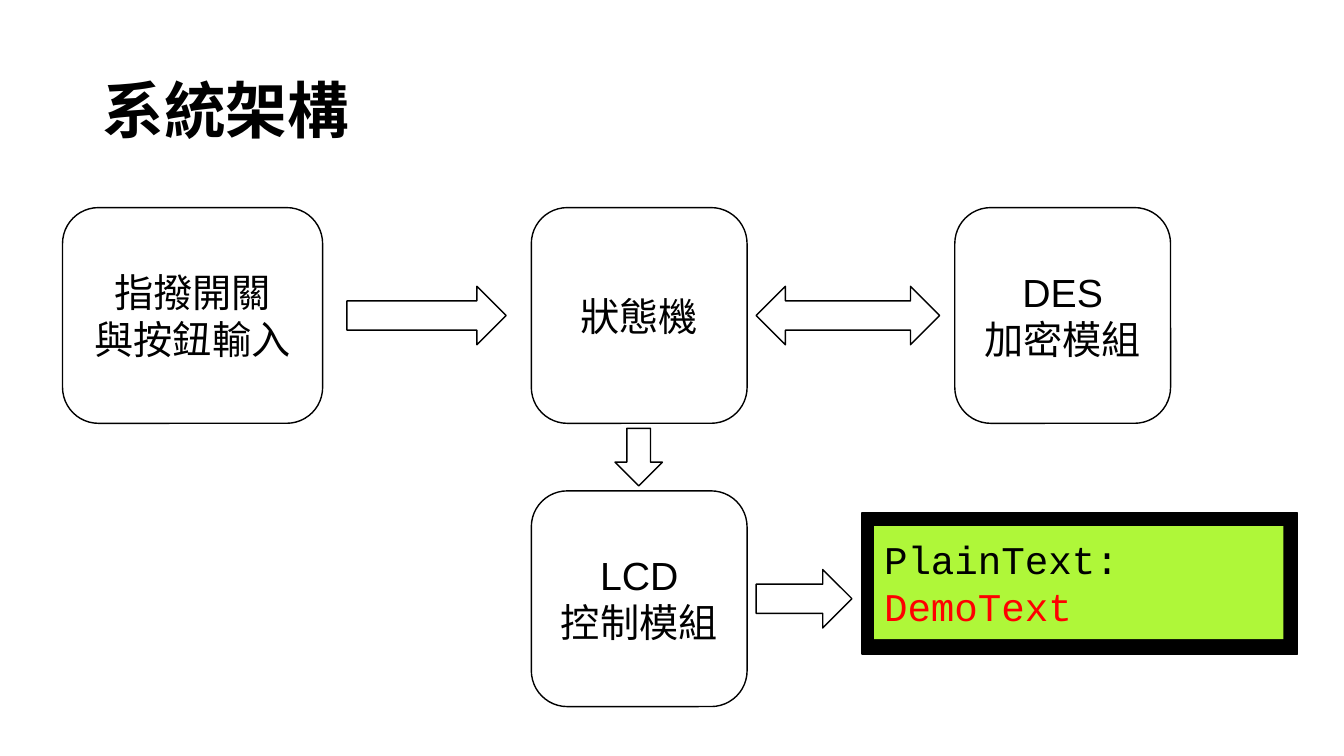
from dataclasses import dataclass

from pptx import Presentation
from pptx.dml.color import RGBColor
from pptx.enum.shapes import MSO_SHAPE
from pptx.enum.text import MSO_ANCHOR, PP_ALIGN
from pptx.shapes.autoshape import Shape
from pptx.slide import Slide
from pptx.util import Inches, Pt

ROUNDED = MSO_SHAPE.ROUNDED_RECTANGLE
RECTANGLE = MSO_SHAPE.RECTANGLE
RIGHT_ARROW = MSO_SHAPE.RIGHT_ARROW
DOWN_ARROW = MSO_SHAPE.DOWN_ARROW
DOUBLE_ARROW = MSO_SHAPE.LEFT_RIGHT_ARROW
MIDDLE = MSO_ANCHOR.MIDDLE
LEFT = PP_ALIGN.LEFT
CENTER = PP_ALIGN.CENTER

COLORS = {
    "black": "000000",
    "white": "FFFFFF",
    "display": "AFF739",
    "red": "FF0000",
}
BODY_FONT = "Arial"
DISPLAY_FONT = "Courier New"

MODULE_SIZE = 2.14
TOP_ROW = 2.06
BOTTOM_ROW = 4.87
CENTER_COLUMN = 5.27
ARROW_THICKNESS = 0.58
TOP_ARROW = TOP_ROW + (MODULE_SIZE - ARROW_THICKNESS) / 2
BOTTOM_ARROW = BOTTOM_ROW + (MODULE_SIZE - ARROW_THICKNESS) / 2


@dataclass(frozen=True)
class Module:
    lines: tuple[str, ...]
    left: float
    top: float
    width: float = MODULE_SIZE


@dataclass(frozen=True)
class Arrow:
    kind: MSO_SHAPE
    left: float
    top: float
    width: float
    height: float = ARROW_THICKNESS


MODULES = (
    Module(("指撥開關", "與按鈕輸入"), 0.62, TOP_ROW, 2.58),
    Module(("狀態機",), CENTER_COLUMN, TOP_ROW),
    Module(("DES", "加密模組"), 9.47, TOP_ROW),
    Module(("LCD", "控制模組"), CENTER_COLUMN, BOTTOM_ROW),
)
ARROWS = (
    Arrow(RIGHT_ARROW, 3.44, TOP_ARROW, 1.58),
    Arrow(DOUBLE_ARROW, 7.5, TOP_ARROW, 1.82),
    Arrow(DOWN_ARROW, 6.1, 4.25, 0.47, 0.57),
    Arrow(RIGHT_ARROW, 7.5, BOTTOM_ARROW, 0.95),
)


def color(name: str) -> RGBColor:
    return RGBColor.from_string(COLORS[name])


def add_box(slide: Slide, kind: MSO_SHAPE, left: float, top: float, width: float,
            height: float, fill: str = "white", outlined: bool = True) -> Shape:
    shape = slide.shapes.add_shape(
        kind, Inches(left), Inches(top), Inches(width), Inches(height))
    shape.shadow.inherit = False
    shape.fill.solid()
    shape.fill.fore_color.rgb = color(fill)
    if outlined:
        shape.line.color.rgb = color("black")
        shape.line.width = Pt(1)
    else:
        shape.line.fill.background()
    return shape


def write_lines(shape: Shape, lines: tuple[tuple[str, str], ...], alignment: PP_ALIGN,
                font: str = BODY_FONT, size: int = 28, bold: bool = False,
                spacing: float = 1.0) -> None:
    """Write one paragraph for each pair of text and colour name."""
    frame = shape.text_frame
    frame.word_wrap = True
    frame.vertical_anchor = MIDDLE
    for index, (text, color_name) in enumerate(lines):
        paragraph = frame.add_paragraph() if index else frame.paragraphs[0]
        paragraph.alignment = alignment
        paragraph.line_spacing = spacing
        run = paragraph.add_run()
        run.text = text
        run.font.name = font
        run.font.size = Pt(size)
        run.font.bold = bold
        run.font.color.rgb = color(color_name)


def add_title(slide: Slide) -> None:
    title = slide.shapes.add_textbox(Inches(0.92), Inches(0.4), Inches(11.5), Inches(1.45))
    write_lines(title, (("系統架構", "black"),), LEFT, size=44, bold=True, spacing=0.9)


def add_module(slide: Slide, module: Module) -> None:
    shape = add_box(slide, ROUNDED, module.left, module.top, module.width, MODULE_SIZE)
    write_lines(shape, tuple((line, "black") for line in module.lines), CENTER)


def add_lcd_display(slide: Slide) -> None:
    add_box(slide, RECTANGLE, 8.55, 5.09, 4.32, 1.4, fill="black")
    screen = add_box(slide, RECTANGLE, 8.67, 5.22, 4.06, 1.12, fill="display", outlined=False)
    write_lines(screen, (("PlainText:", "black"), ("DemoText", "red")), LEFT, DISPLAY_FONT)


def main() -> None:
    presentation = Presentation()
    presentation.slide_width = Inches(13.33)
    presentation.slide_height = Inches(7.5)
    slide = presentation.slides.add_slide(presentation.slide_layouts[6])
    add_title(slide)
    for module in MODULES:
        add_module(slide, module)
    add_lcd_display(slide)
    for arrow in ARROWS:
        add_box(slide, arrow.kind, arrow.left, arrow.top, arrow.width, arrow.height)
    presentation.save("out.pptx")


if __name__ == "__main__":
    main()
